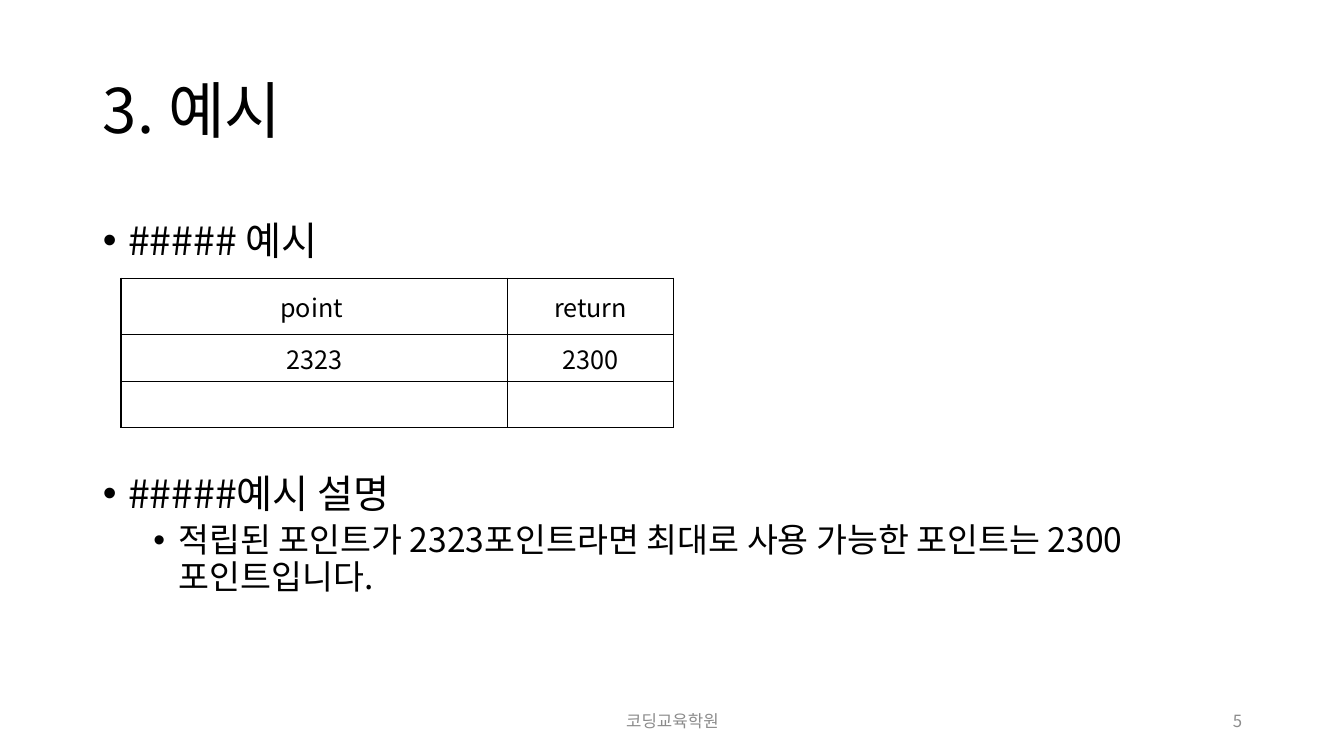
from lxml import etree
from pptx import Presentation, util as u
from pptx.dml.color import RGBColor
from pptx.enum import text as t
from pptx.oxml.ns import qn

BLACK = RGBColor(0x00, 0x00, 0x00)
GRAY = RGBColor(0x8C, 0x8C, 0x8C)
FONT = "Noto Sans CJK KR"
WIDTH, HEIGHT = u.Inches(13.33), u.Inches(7.5)

TITLE_BOX = (0.92, 0.4, 11.5, 1.45)
BODY_BOX = (0.92, 2, 11.5, 5.1)
TABLE_BOX = (1.2, 2.76, 5.48, 1.48)
FOOTER_BOX = (4.42, 6.95, 4.5, 0.4)
NUMBER_BOX = (9.42, 6.95, 3, 0.4)

COLUMN_SHARES = (0.7, 0.3)
ROW_SHARES = (0.38, 0.31, 0.31)
EXAMPLE_ROWS = (("point ", "return"), ("2323", "2300"), ("", ""))
BODY_LINES = (
    ("##### 예시", 28, dict(level=0, line_spacing=1.2, space_before=u.Pt(0))),
    ("#####예시 설명", 28, dict(level=0, line_spacing=0.9, space_before=u.Pt(151))),
    ("적립된 포인트가 2323포인트라면 최대로 사용 가능한 포인트는 2300포인트입니다.", 24,
     dict(level=1, line_spacing=0.9, space_before=u.Pt(5))),
)


def apply(target, formats):
    """Set each attribute named in a dict of format values."""
    for name, value in formats.items():
        setattr(target, name, value)


def inches(box):
    """Turn a box in inches into lengths."""
    return [u.Inches(value) for value in box]


def write(paragraph, words, size, color=BLACK, **formats):
    """Write one formatted run into a paragraph."""
    apply(paragraph, formats)
    run = paragraph.add_run()
    run.text = words
    apply(run.font, dict(name=FONT, size=u.Pt(size), bold=False))
    run.font.color.rgb = color
    east_asian = etree.Element(qn("a:ea"), typeface=FONT)
    run.font._element.find(qn("a:latin")).addnext(east_asian)


def place(shape, box, anchor):
    """Move a text shape to its box and return its frame."""
    apply(shape, dict(zip(("left", "top", "width", "height"), inches(box))))
    frame = shape.text_frame
    apply(frame, dict(word_wrap=True, auto_size=t.MSO_AUTO_SIZE.NONE, vertical_anchor=anchor))
    return frame


def add_bullet(paragraph):
    """Give a paragraph a round bullet and a hanging indent."""
    properties = paragraph._p.get_or_add_pPr()
    properties.set("marL", str(u.Inches(0.25 + 0.5 * paragraph.level)))
    properties.set("indent", str(u.Inches(-0.25)))
    etree.SubElement(properties, qn("a:buFont"), typeface="Arial")
    etree.SubElement(properties, qn("a:buChar"), char="•")


def fill_title(slide, box):
    """Fill the title placeholder."""
    frame = place(slide.shapes.title, box, t.MSO_ANCHOR.MIDDLE)
    write(frame.paragraphs[0], "3. 예시", 44, alignment=t.PP_ALIGN.LEFT, line_spacing=0.9)


def fill_body(slide, box):
    """Fill the body placeholder with the bulleted lines."""
    frame = place(slide.placeholders[1], box, t.MSO_ANCHOR.TOP)
    for index, (words, size, formats) in enumerate(BODY_LINES):
        paragraph = frame.add_paragraph() if index else frame.paragraphs[0]
        apply(paragraph, formats)
        add_bullet(paragraph)
        write(paragraph, words, size)


def add_borders(cell):
    """Draw a thin black line on every side of a cell."""
    properties = cell._tc.get_or_add_tcPr()
    for index, side in enumerate(("lnL", "lnR", "lnT", "lnB")):
        line = etree.Element(qn("a:" + side), w=str(u.Pt(1)))
        fill = etree.SubElement(line, qn("a:solidFill"))
        etree.SubElement(fill, qn("a:srgbClr"), val=str(BLACK))
        properties.insert(index, line)


def add_example_table(slide, box):
    """Add the table of example values."""
    left, top, width, height = inches(box)
    table = slide.shapes.add_table(len(ROW_SHARES), len(COLUMN_SHARES),
                                   left, top, width, height).table
    apply(table, dict(first_row=False, horz_banding=False))
    for column, share in zip(table.columns, COLUMN_SHARES):
        column.width = int(width * share)
    for row, share, values in zip(table.rows, ROW_SHARES, EXAMPLE_ROWS):
        row.height = int(height * share)
        for cell, value in zip(row.cells, values):
            cell.fill.background()
            cell.vertical_anchor = t.MSO_ANCHOR.MIDDLE
            add_borders(cell)
            if value:
                write(cell.text_frame.paragraphs[0], value, 18, alignment=t.PP_ALIGN.CENTER)


def add_footer(slide, box, words, alignment):
    """Add one grey footer text."""
    shape = slide.shapes.add_textbox(*inches(box))
    frame = place(shape, box, t.MSO_ANCHOR.MIDDLE)
    write(frame.paragraphs[0], words, 12, GRAY, alignment=alignment)


def main():
    """Build and save the example slide."""
    presentation = Presentation()
    apply(presentation, dict(slide_width=WIDTH, slide_height=HEIGHT))
    slide = presentation.slides.add_slide(presentation.slide_layouts[1])
    fill_title(slide, TITLE_BOX)
    fill_body(slide, BODY_BOX)
    add_example_table(slide, TABLE_BOX)
    add_footer(slide, FOOTER_BOX, "코딩교육학원", t.PP_ALIGN.CENTER)
    add_footer(slide, NUMBER_BOX, "5", t.PP_ALIGN.RIGHT)
    presentation.save("out.pptx")


if __name__ == "__main__":
    main()
